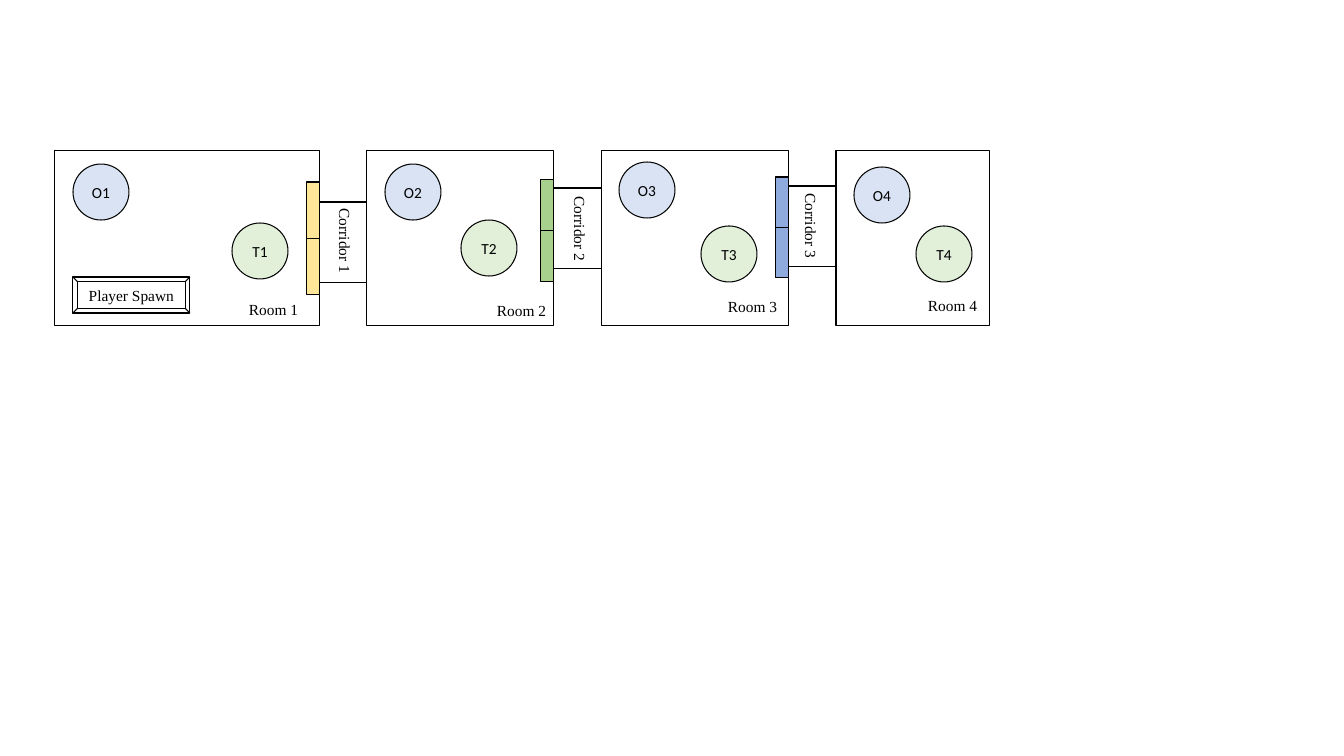
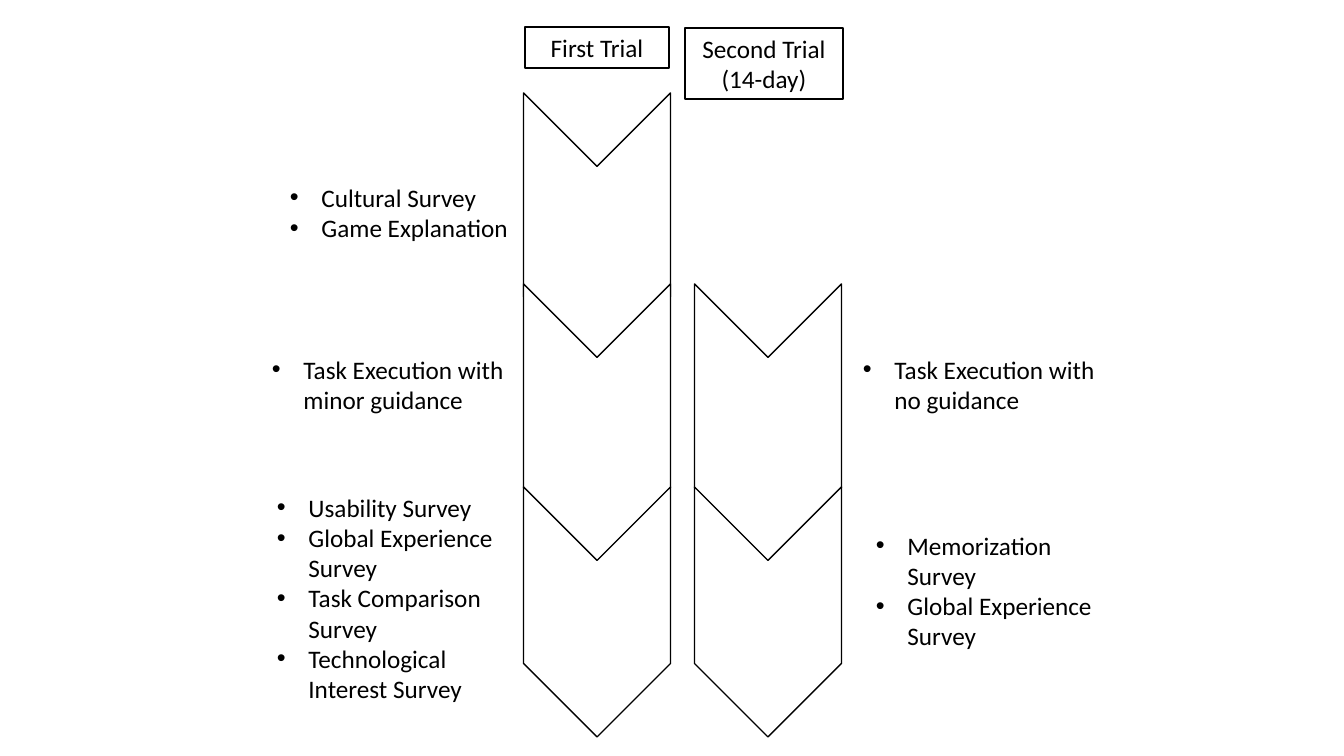
from lxml.etree import SubElement
from pptx import Presentation
from pptx.dml.color import RGBColor
from pptx.enum.shapes import MSO_CONNECTOR, MSO_SHAPE
from pptx.enum.text import MSO_ANCHOR, PP_ALIGN
from pptx.oxml.ns import qn
from pptx.util import Emu, Pt

SCALE = 914400 / 100.8
BLACK, WHITE = "000000", "FFFFFF"
SANS, SERIF = "Calibri", "Times New Roman"
BULLET_INDENT = 285750

deck = Presentation()
deck.slide_width, deck.slide_height = Emu(12192000), Emu(6858000)


def add_box(page, kind, place, fill=None, weight=0.75):
    left, top, width, height = [Emu(round(length * SCALE)) for length in place]
    if kind is None:
        box = page.shapes.add_textbox(left, top, width, height)
        box.text_frame.word_wrap = True
        return box
    box = page.shapes.add_shape(kind, left, top, width, height)
    box.shadow.inherit = False
    if fill:
        box.fill.solid()
        box.fill.fore_color.rgb = RGBColor.from_string(fill)
    else:
        box.fill.background()
    box.line.color.rgb = RGBColor.from_string(BLACK)
    box.line.width = Pt(weight)
    return box


def write(box, lines, size, font, align=PP_ALIGN.LEFT, bullets=False):
    frame = box.text_frame
    for number, line in enumerate(lines):
        para = frame.add_paragraph() if number else frame.paragraphs[0]
        para.alignment = align
        if bullets:
            settings = para._p.get_or_add_pPr()
            settings.set("marL", str(BULLET_INDENT))
            settings.set("indent", str(-BULLET_INDENT))
            SubElement(settings, qn("a:buFont")).set("typeface", "Arial")
            SubElement(settings, qn("a:buChar")).set("char", "•")
        span = para.add_run()
        span.text = line
        span.font.size = Pt(size)
        span.font.name = font
        span.font.color.rgb = RGBColor.from_string(BLACK)


page = deck.slides.add_slide(deck.slide_layouts[6])
room_top, room_height = 151, 175
circle_size, door_width = 56, 13
corridor_height = 81

rooms = [
    (55, 265, (73, 164), (232, 223), (239, 295)),
    (367, 187, (385, 164), (461, 220), (487, 296)),
    (602, 187, (619, 162), (701, 226), (718, 292)),
    (836, 154, (854, 167), (916, 226), (918, 291)),
]
for number, (left, width, origin, target, label) in enumerate(rooms, 1):
    add_box(page, MSO_SHAPE.RECTANGLE, (left, room_top, width, room_height))
    for letter, spot, fill in [("O", origin, "DAE3F3"), ("T", target, "E2F0D9")]:
        circle = add_box(page, MSO_SHAPE.OVAL, (*spot, circle_size, circle_size), fill)
        write(circle, [f"{letter}{number}"], 11, SANS, PP_ALIGN.CENTER)
    write(add_box(page, None, (*label, 107, 29)), [f"Room {number}"], 11, SERIF)

spawn = add_box(page, MSO_SHAPE.BEVEL, (73, 277, 117, 36))
write(spawn, ["Player Spawn"], 11, SERIF, PP_ALIGN.CENTER)

corridors = [
    (202, 345, 241, 182, 113, "FFE699"),
    (188, 580, 229, 179, 103, "A9D18E"),
    (186, 811, 226, 177, 101, "8FAADC"),
]
for number, (top, label_x, label_y, door_top, door_height, fill) in enumerate(corridors, 1):
    start = rooms[number - 1][0] + rooms[number - 1][1]
    end = rooms[number][0]
    add_box(page, MSO_SHAPE.RECTANGLE, (start, top, end - start, corridor_height))
    label = add_box(page, None, (label_x - 43, label_y - 14, 86, 29))
    label.text_frame.word_wrap = False
    label.rotation = 90
    write(label, [f"Corridor {number}"], 11, SERIF)
    door_left = start - door_width
    add_box(page, MSO_SHAPE.RECTANGLE, (door_left, door_top, door_width, door_height), fill)
    middle = door_top + door_height // 2
    ends = [Emu(round(length * SCALE)) for length in (door_left, middle, start, middle)]
    divider = page.shapes.add_connector(MSO_CONNECTOR.STRAIGHT, *ends)
    divider.line.color.rgb = RGBColor.from_string(BLACK)
    divider.line.width = Pt(0.5)
    SubElement(divider._element.spPr, qn("a:effectLst"))

page = deck.slides.add_slide(deck.slide_layouts[6])
chevron_width = 147
first_x, second_x = 597, 768
steps = [(93, 277), (284, 277), (487, 250)]
for center_x, column in [(first_x, steps), (second_x, steps[1:])]:
    for top, length in column:
        place = (center_x - length / 2, top + (length - chevron_width) / 2, length, chevron_width)
        chevron = add_box(page, MSO_SHAPE.CHEVRON, place, WHITE, 1)
        chevron.rotation = 90

headings = [
    ((525, 27, 144, 41), ["First Trial"]),
    ((685, 28, 158, 71), ["Second Trial", "(14-day)"]),
]
for place, lines in headings:
    heading = add_box(page, MSO_SHAPE.RECTANGLE, place, WHITE, 1)
    heading.text_frame.vertical_anchor = MSO_ANCHOR.TOP
    write(heading, lines, 18, SANS, PP_ALIGN.CENTER)

activities = [
    (280, 177, 102, ["Cultural Survey", "Game Explanation"]),
    (262, 349, 102, ["Task Execution with minor guidance"]),
    (853, 349, 102, ["Task Execution with no guidance"]),
    (267, 487, 254, ["Usability Survey", "Global Experience Survey",
                     "Task Comparison Survey", "Technological Interest Survey"]),
    (866, 525, 132, ["Memorization Survey", "Global Experience Survey"]),
]
for left, top, height, lines in activities:
    write(add_box(page, None, (left, top, 258, height)), lines, 18, SANS, bullets=True)

deck.save("out.pptx")
